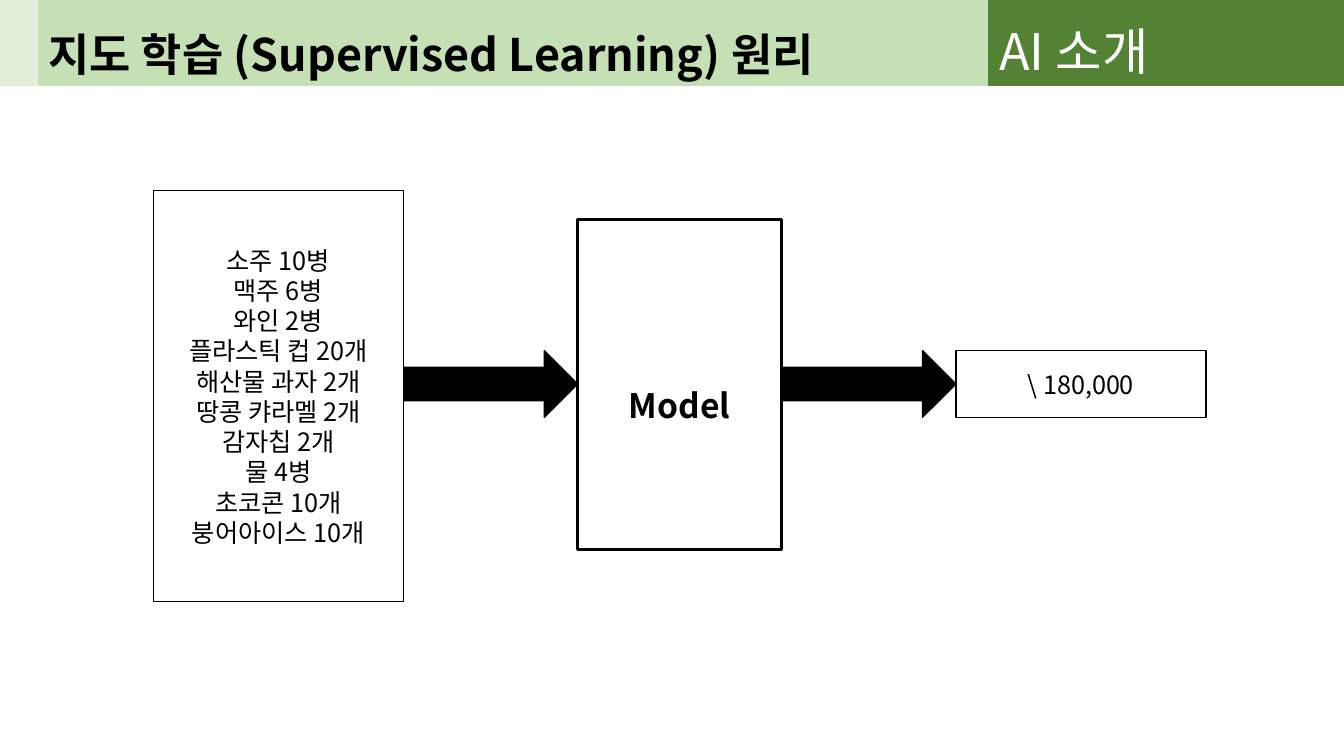
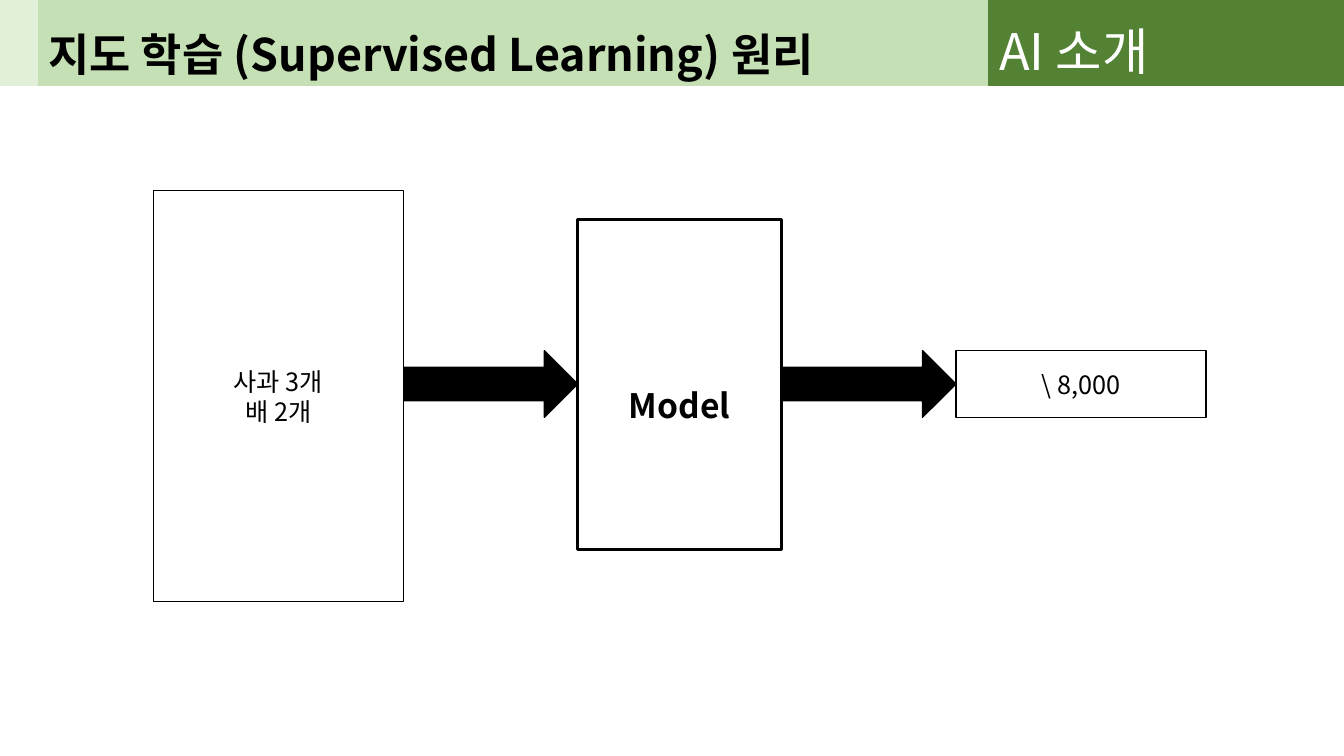
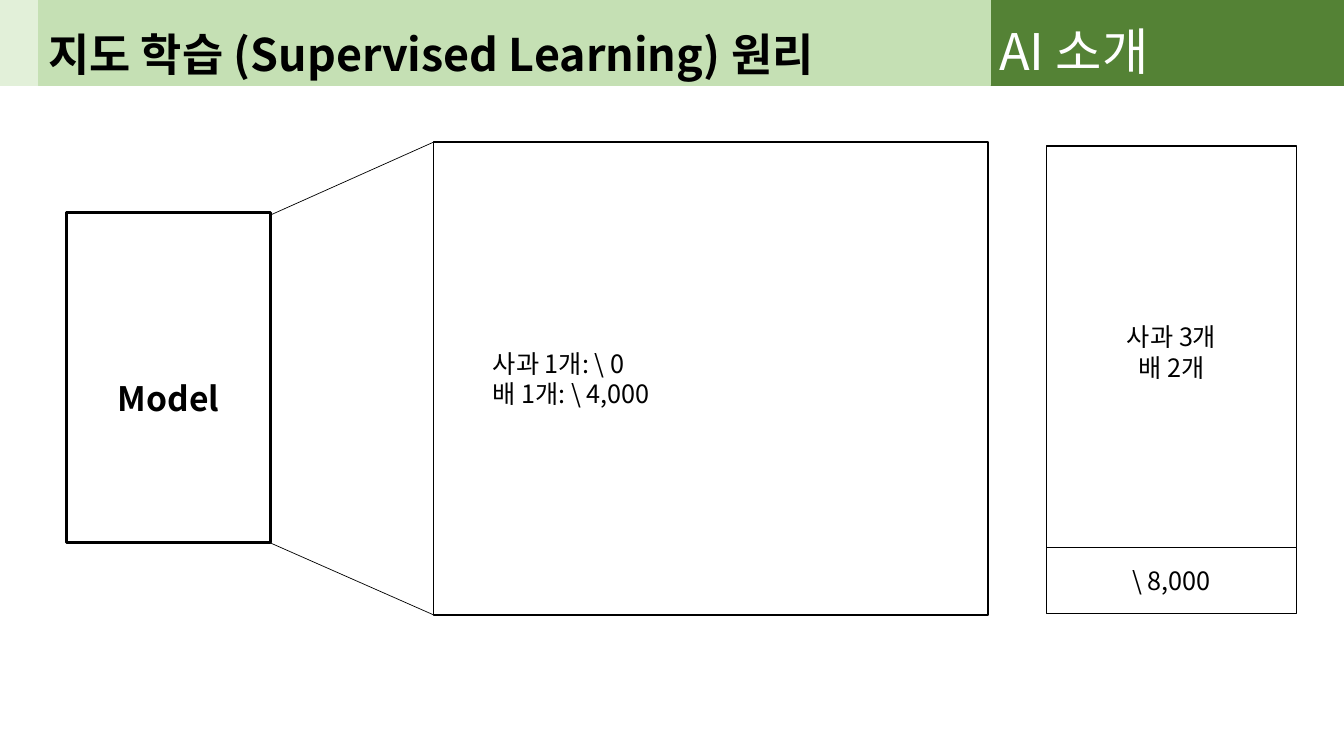
from pptx import Presentation
from pptx.dml.color import RGBColor
from pptx.enum import shapes, text
from pptx.oxml import ns
from pptx.util import Inches, Pt
from lxml import etree

FONT = "Noto Sans CJK KR"
HUES = {"black": "000000", "white": "FFFFFF", "pale": "E2F0D9",
        "light": "C5E0B4", "dark": "548235"}
RECT = shapes.MSO_SHAPE.RECTANGLE
ARROW = shapes.MSO_SHAPE.RIGHT_ARROW
LEFT, MID = text.PP_ALIGN.LEFT, text.PP_ALIGN.CENTER

# Header bands: left, width, fill, wording, size, colour, bold
BANDS = {
    "edge": (0, 0.38, "pale", "", 18, "black", False),
    "title": (0.38, 9.44, "light", "지도 학습 (Supervised Learning) 원리", 32, "black", True),
    "topic": (9.81, 3.52, "dark", "AI 소개", 36, "white", False),
}

BOX_W, LIST_H, SUM_H = 2.48, 4.08, 0.66
MODEL_W, MODEL_H = 2.02, 3.27
ARROW_W = 1.73

PARTY = ["소주 10병", "맥주 6병", "와인 2병", "플라스틱 컵 20개", "해산물 과자 2개",
         "땅콩 캬라멜 2개", "감자칩 2개", "물 4병", "초코콘 10개", "붕어아이스 10개"]
FRUIT = ["사과 3개", "배 2개"]


def hue(name):
    return RGBColor.from_string(HUES[name])


def block(slide, x, y, w, h, fill="white", line="black", width=1, kind=RECT):
    shape = slide.shapes.add_shape(kind, Inches(x), Inches(y), Inches(w), Inches(h))
    shape.shadow.inherit = False
    shape.fill.solid()
    shape.fill.fore_color.rgb = hue(fill)
    shape.line.color.rgb = hue(line)
    shape.line.width = Pt(width)
    return shape


def write(shape, lines, size=18, color="black", bold=False, align=MID,
          anchor=text.MSO_ANCHOR.MIDDLE, space=None, indent=0):
    frame = shape.text_frame
    frame.word_wrap = True
    frame.vertical_anchor = anchor
    frame.text = "\n".join(lines)
    for para in frame.paragraphs:
        para.alignment = align
        para.line_spacing = space
        if indent:
            para._p.get_or_add_pPr().set("marL", str(Inches(indent)))
        for run in para.runs:
            font = run.font
            font.name, font.size, font.bold = FONT, Pt(size), bold
            font.color.rgb = hue(color)
            # Hangul takes its face from the East Asian font
            face = etree.SubElement(run._r.get_or_add_rPr(), ns.qn("a:ea"))
            face.set("typeface", FONT)


def header(slide, order=("edge", "title", "topic")):
    for name in order:
        x, w, fill, words, size, color, bold = BANDS[name]
        band = block(slide, x, 0, w, 0.85, fill, fill)
        if words:
            write(band, [words], size, color, bold, LEFT, text.MSO_ANCHOR.BOTTOM)


def model(slide, x, y):
    box = block(slide, x, y, MODEL_W, MODEL_H, width=2)
    write(box, ["Model"], 24, bold=True, space=2.0)


def card(slide, x, y, h, lines):
    write(block(slide, x, y, BOX_W, h), lines)


def ray(slide, x1, y1, x2, y2):
    line = slide.shapes.add_connector(
        shapes.MSO_CONNECTOR.STRAIGHT, Inches(x1), Inches(y1), Inches(x2), Inches(y2))
    line.line.color.rgb = hue("black")
    line.line.width = Pt(0.5)
    etree.SubElement(line._element.spPr, ns.qn("a:effectLst"))


def flow(slide, goods, total):
    # Goods, arrow, model, arrow and total touch in one row
    left, row = 1.52, 3.48
    first = left + BOX_W
    mid = first + ARROW_W
    second = mid + MODEL_W
    model(slide, mid, 2.18)
    for x in (second, first):
        block(slide, x, row, ARROW_W, SUM_H, "black", kind=ARROW)
    card(slide, left, 1.89, LIST_H, goods)
    card(slide, second + ARROW_W, row, SUM_H, [total])
    header(slide)


def zoom(slide):
    # Model opened up into its unit prices
    x, y, w, h = 4.3, 1.41, 5.5, 4.69
    model(slide, 0.66, 2.11)
    ray(slide, 2.69, 2.13, x, y)
    ray(slide, 2.69, 5.39, x, y + h)
    write(block(slide, x, y, w, h), ["사과 1개: \\ 0", "배 1개: \\ 4,000"],
          align=LEFT, indent=0.49)
    # Known example beside it
    card(slide, 10.38, 1.45, LIST_H, FRUIT)
    card(slide, 10.38, 5.43, SUM_H, ["\\ 8,000"])
    header(slide, ("edge", "topic", "title"))


def main():
    deck = Presentation()
    deck.slide_width, deck.slide_height = Inches(13.33), Inches(7.5)
    pages = [deck.slides.add_slide(deck.slide_layouts[6]) for _ in range(3)]
    flow(pages[0], PARTY, "\\ 180,000")
    flow(pages[1], FRUIT, "\\ 8,000")
    zoom(pages[2])
    deck.save("out.pptx")


if __name__ == "__main__":
    main()
